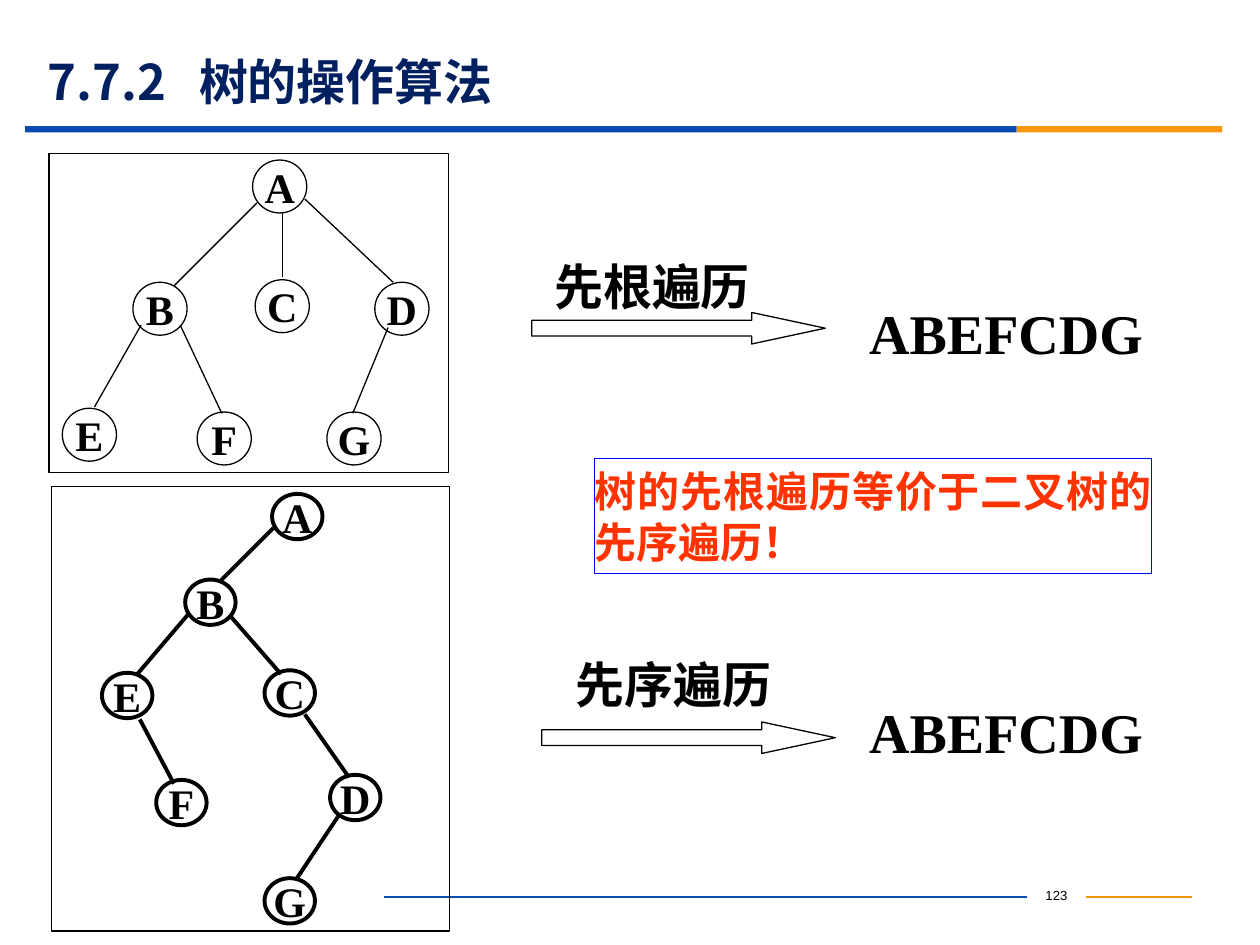
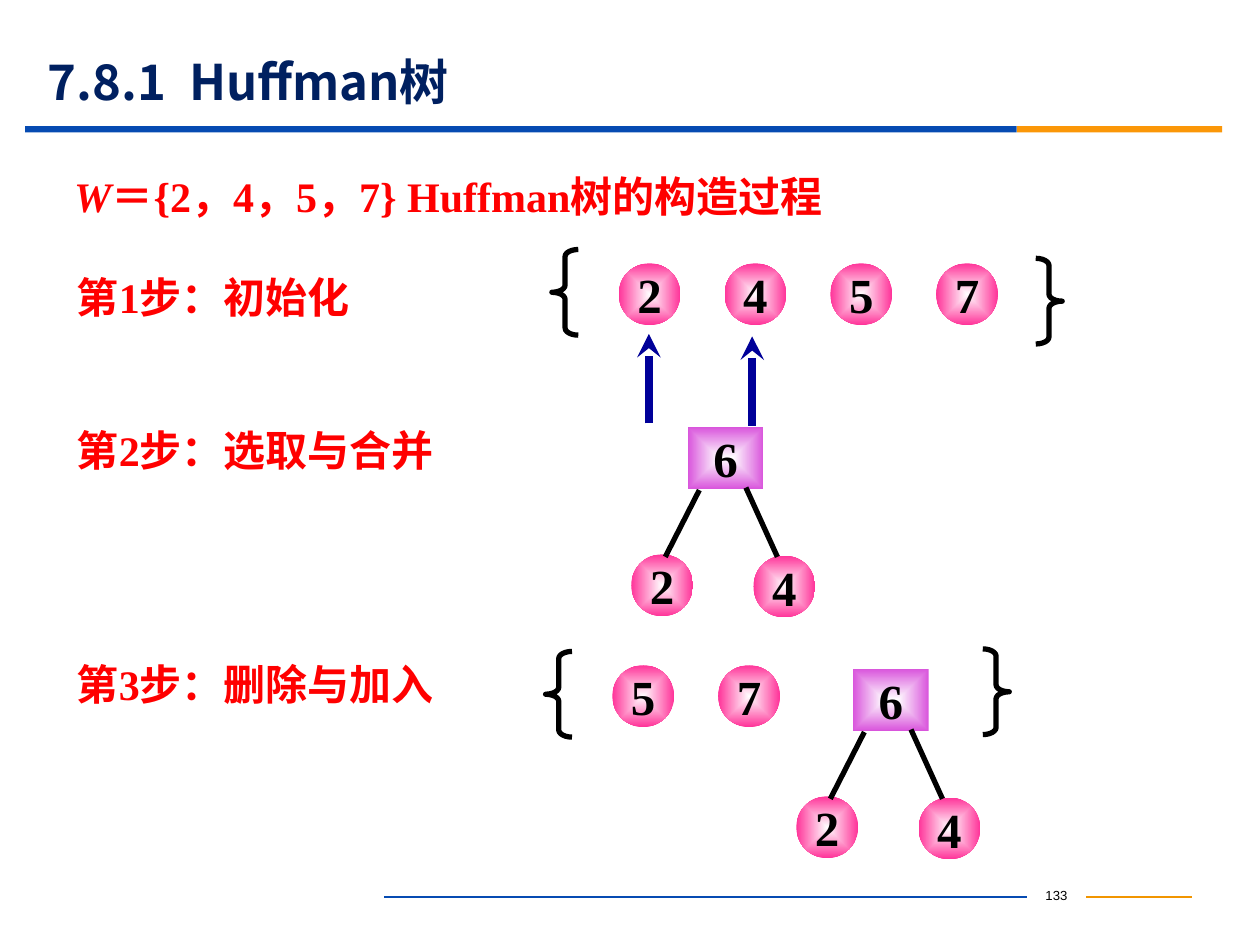
from lxml import etree
from pptx import Presentation
from pptx.dml.color import RGBColor
from pptx.enum.shapes import MSO_CONNECTOR, MSO_SHAPE
from pptx.enum.text import MSO_ANCHOR, PP_ALIGN
from pptx.oxml.ns import qn
from pptx.util import Inches, Pt

LEFT, CENTER, JUSTIFY = PP_ALIGN.LEFT, PP_ALIGN.CENTER, PP_ALIGN.JUSTIFY
TOP, MIDDLE = MSO_ANCHOR.TOP, MSO_ANCHOR.MIDDLE
RECT, OVAL = MSO_SHAPE.RECTANGLE, MSO_SHAPE.OVAL
ARROW, BRACE = MSO_SHAPE.RIGHT_ARROW, MSO_SHAPE.LEFT_BRACE
STRAIGHT = MSO_CONNECTOR.STRAIGHT

COLORS = {
    "black": "000000", "white": "FFFFFF", "title": "002060",
    "band_blue": "064BB2", "band_orange": "FB9708", "foot_orange": "F19500",
    "red": "FF0000", "note_red": "FF3300", "note_blue": "0000FF",
    "pink": "FF3399", "violet": "D955DC", "pointer": "000099",
}
SERIF, CJK, SANS = "Times New Roman", "Noto Sans CJK SC", "Arial"
BALL = 0.49


def rgb(name):
    return RGBColor.from_string(COLORS[name])


# ---- Basic parts ----
def write(para, text, size, color="black", face=SERIF, bold=True, italic=False):
    span = para.add_run()
    span.text = text
    values = {"size": Pt(size), "name": face, "bold": bold, "italic": italic}
    for name, value in values.items():
        setattr(span.font, name, value)
    span.font.color.rgb = rgb(color)
    east_asian = etree.SubElement(span._r.get_or_add_rPr(), qn("a:ea"))
    east_asian.set("typeface", CJK)


def set_frame(frame, insets=(0, 0, 0, 0), wrap=True, anchor=TOP):
    names = ("margin_left", "margin_top", "margin_right", "margin_bottom")
    values = {name: Inches(inset) for name, inset in zip(names, insets)}
    values.update(word_wrap=wrap, vertical_anchor=anchor)
    for name, value in values.items():
        setattr(frame, name, value)


def add_text(page, box, parts, size, align=LEFT, padded=True, **look):
    """Parts is a list of (text, italic) pairs on one paragraph."""
    shape = page.shapes.add_textbox(*map(Inches, box))
    set_frame(shape.text_frame, (0.1, 0.05, 0.1, 0.05) if padded else (0, 0, 0, 0))
    para = shape.text_frame.paragraphs[0]
    para.alignment = align
    para.line_spacing = Pt(round(size * 1.21))
    for text, italic in parts:
        write(para, text, size, italic=italic, **look)


def add_shape(page, kind, box, fill=None, line=None, width=0.75):
    shape = page.shapes.add_shape(kind, *map(Inches, box))
    shape.shadow.inherit = False
    if fill:
        shape.fill.solid()
        shape.fill.fore_color.rgb = rgb(fill)
    else:
        shape.fill.background()
    if line:
        shape.line.color.rgb = rgb(line)
        shape.line.width = Pt(width)
    else:
        shape.line.fill.background()
    return shape


def add_line(page, start, end, color="black", width=0.75, head=None):
    line = page.shapes.add_connector(STRAIGHT, *map(Inches, (*start, *end)))
    line.line.color.rgb = rgb(color)
    line.line.width = Pt(width)
    if head:
        etree.SubElement(line.line._get_or_add_ln(), qn("a:tailEnd")).set("type", head)
    etree.SubElement(line._element.spPr, qn("a:effectLst"))


def label(shape, text, size):
    set_frame(shape.text_frame, wrap=False, anchor=MIDDLE)
    para = shape.text_frame.paragraphs[0]
    para.alignment = CENTER
    write(para, text, size)


def glow(shape, color):
    """White centre fading outwards to the given colour."""
    shape.fill.gradient()
    for stop, name in zip(shape.fill.gradient_stops, ("white", color)):
        stop.color.rgb = rgb(name)
    gradient = shape._element.spPr.find(qn("a:gradFill"))
    gradient.remove(gradient.find(qn("a:lin")))
    spread = etree.SubElement(gradient, qn("a:path"), {"path": "shape"})
    etree.SubElement(spread, qn("a:fillToRect"), {side: "50000" for side in "ltrb"})


# ---- Shared page frame ----
def new_page(deck, section, heading, tab_stop, number):
    page = deck.slides.add_slide(deck.slide_layouts[5])
    # Title band
    add_shape(page, RECT, (0.2, 1, 7.87, 0.05), "band_blue")
    add_shape(page, RECT, (8.07, 1, 1.63, 0.05), "band_orange")
    # Footer
    add_line(page, (8.62, 7.12), (9.46, 7.12), "foot_orange")
    add_line(page, (3.05, 7.12), (8.15, 7.12), "band_blue")
    add_text(page, (8.15, 6.99, 0.47, 0.25), [(number, False)], 7.5, CENTER,
             face=SANS, bold=False)
    # Title
    title = page.shapes.title
    for name, value in zip(("left", "top", "width", "height"), (0.28, 0.43, 9, 0.43)):
        setattr(title, name, Inches(value))
    set_frame(title.text_frame, (0.1, 0.05, 0.1, 0.05), anchor=MIDDLE)
    para = title.text_frame.paragraphs[0]
    para.alignment = LEFT
    tabs = etree.SubElement(para._p.get_or_add_pPr(), qn("a:tabLst"))
    etree.SubElement(tabs, qn("a:tab"), {"pos": str(Inches(tab_stop)), "algn": "l"})
    write(para, f"{section}\t{heading}", 28, "title", CJK)
    return page


# ---- Traversal page ----
def framed_tree(page, box, nodes, edges, node_size, width):
    """Nodes map letters to centres; edges and centres are relative to the box."""
    left, top = box[:2]
    node_width, node_height = node_size
    add_shape(page, RECT, box, line="black")
    for x1, y1, x2, y2 in edges:
        add_line(page, (left + x1, top + y1), (left + x2, top + y2), width=width)
    for letter, (x, y) in nodes.items():
        place = (left + x - node_width / 2, top + y - node_height / 2, *node_size)
        label(add_shape(page, OVAL, place, line="black", width=width), letter, 24)


def traversal(page, left, top, name, name_offset, result_top):
    arrow = add_shape(page, ARROW, (left, top, 2.33, 0.25), line="black")
    arrow.adjustments[0], arrow.adjustments[1] = 0.5, 2.333
    dx, dy = name_offset
    add_text(page, (left + dx, top + dy, 1.92, 0.57), [(name, False)], 28)
    add_text(page, (6.8, result_top, 2.67, 0.63), [("ABEFCDG", False)], 32)


def traversal_page(deck):
    page = new_page(deck, "7.7.2", "树的操作算法", 1.2, "123")
    # General tree
    framed_tree(
        page, (0.39, 1.22, 3.17, 2.53),
        {"A": (1.83, 0.26), "B": (0.88, 1.23), "C": (1.85, 1.21), "D": (2.8, 1.23),
         "E": (0.32, 2.23), "F": (1.39, 2.26), "G": (2.42, 2.26)},
        [(1.65, 0.39, 0.99, 1.05), (1.85, 0.47, 1.85, 0.98), (2.03, 0.36, 2.73, 1.02),
         (0.73, 1.36, 0.36, 2.01), (1.04, 1.36, 1.37, 2.06), (2.69, 1.38, 2.41, 2.06)],
        (0.43, 0.42), 0.75)
    # Equivalent binary tree
    framed_tree(
        page, (0.41, 3.86, 3.16, 3.53),
        {"A": (1.95, 0.24), "B": (1.26, 0.92), "C": (1.89, 1.64), "D": (2.41, 2.47),
         "E": (0.6, 1.66), "F": (1.03, 2.51), "G": (1.89, 3.29)},
        [(1.76, 0.33, 1.33, 0.76), (1.08, 1.02, 0.68, 1.49), (1.41, 1.02, 1.82, 1.49),
         (0.7, 1.85, 0.97, 2.36), (2.01, 1.81, 2.36, 2.31), (2.28, 2.61, 1.94, 3.12)],
        (0.4, 0.36), 2.25)
    traversal(page, 4.22, 2.48, "先根遍历", (0.08, -0.5), 2.31)
    traversal(page, 4.3, 5.73, "先序遍历", (0.17, -0.59), 5.48)
    # Conclusion
    note = add_shape(page, RECT, (4.72, 3.64, 4.42, 0.91), line="note_blue")
    set_frame(note.text_frame, (0, 0.05, 0, 0.05), anchor=MIDDLE)
    para = note.text_frame.paragraphs[0]
    para.alignment = JUSTIFY
    para.line_spacing = Pt(29)
    write(para, "树的先根遍历等价于二叉树的先序遍历！", 24, "note_red", CJK)


# ---- Huffman page ----
def ball(page, left, top, weight):
    shape = add_shape(page, OVAL, (left, top, BALL, BALL))
    glow(shape, "pink")
    label(shape, weight, 28)


def weight_set(page, left, top, weights, width, drop):
    """Weights between braces; drop lowers the right brace."""
    for x, y, turn in ((0, 0, 0), (width, drop, 180)):
        brace = add_shape(page, BRACE, (left + x, top + y, 0.21, 0.68),
                          line="black", width=3)
        brace.adjustments[0], brace.adjustments[1] = 0.269, 0.5
        brace.rotation = turn
    for index, weight in enumerate(weights):
        ball(page, left + 0.53 + 0.84 * index, top + 0.11, weight)


def merged_tree(page, left, top):
    root = add_shape(page, RECT, (left + 0.45, top, 0.6, BALL))
    glow(root, "violet")
    label(root, "6", 28)
    ball(page, left, top + 1.01, "2")
    ball(page, left + 0.97, top + 1.02, "4")
    for x1, y1, x2 in ((0.54, 0.5, 0.27), (0.91, 0.48, 1.16)):
        add_line(page, (left + x1, top + y1), (left + x2, top + 1.03), width=3)


def huffman_page(deck):
    page = new_page(deck, "7.8.1", "Huffman树", 1.12, "133")
    add_text(page, (0.49, 1.3, 6.45, 0.51),
             [("W", True), ("＝{2，4，5，7} Huffman树的构造过程", False)],
             24, color="red")
    # Steps
    steps = (("第1步：初始化", 2.15), ("第2步：选取与合并", 3.37), ("第3步：删除与加入", 5.22))
    for text, top in steps:
        add_text(page, (0.61, top, 2.95, 0.43), [(text, False)], 24, JUSTIFY,
                 padded=False, color="red")
    # Step 1: initial set
    weight_set(page, 4.38, 1.98, "2457", 3.84, 0.07)
    # Step 2: pick the two smallest and merge
    for x, y in ((5.15, 3.36), (5.97, 3.38)):
        add_line(page, (x, y), (x, y - 0.71), "pointer", 4.5, "stealth")
    merged_tree(page, 5.01, 3.39)
    # Step 3: remove and insert
    weight_set(page, 4.33, 5.17, "57", 3.47, -0.02)
    merged_tree(page, 6.32, 5.31)


def main():
    deck = Presentation()
    deck.slide_width, deck.slide_height = Inches(10), Inches(7.5)
    traversal_page(deck)
    huffman_page(deck)
    deck.save("out.pptx")


if __name__ == "__main__":
    main()
